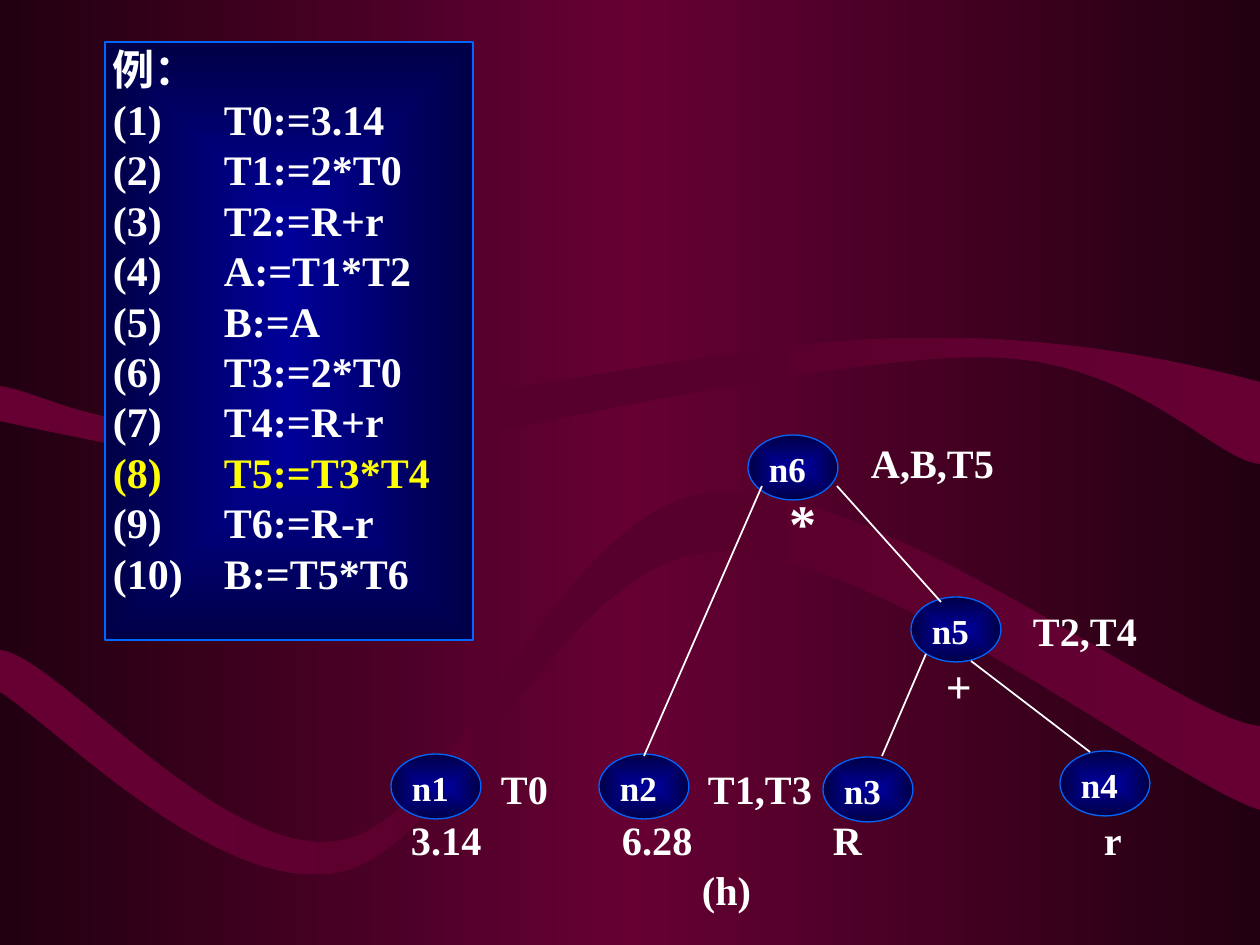
from dataclasses import dataclass

from lxml.etree import SubElement
from pptx import Presentation
from pptx.dml.color import RGBColor
from pptx.enum.shapes import MSO_CONNECTOR as Connector, MSO_SHAPE as Preset
from pptx.enum.text import MSO_ANCHOR as Anchor, PP_ALIGN as Align
from pptx.oxml.ns import qn
from pptx.util import Emu, Pt

EMU_PER_PX = 914400 / 126
FONT = "Times New Roman"
WHITE = RGBColor(0xFF, 0xFF, 0xFF)
YELLOW = RGBColor(0xFF, 0xFF, 0x00)
BORDER = RGBColor(0x00, 0x66, 0xFF)
BRIGHT_BLUE = RGBColor(0x00, 0x00, 0x99)
DARK_BLUE = RGBColor(0x00, 0x00, 0x46)
DARK_WINE = RGBColor(0x22, 0x00, 0x11)
WINE = RGBColor(0x66, 0x00, 0x33)
DIM_WINE = RGBColor(0x56, 0x00, 0x2B)

NODE_WIDTH, NODE_HEIGHT = 90, 65
ROW_LEFT = 209
CODE_TAB = 111


@dataclass
class Node:
    name: str
    left: int
    top: int


@dataclass
class Label:
    text: str
    left: int
    top: int
    width: int
    height: int = 48
    size: int = 23
    inset: int = 0
    tabs: tuple[int, ...] = ()


@dataclass
class Edge:
    start: tuple[int, int]
    end: tuple[int, int]


UPPER_WAVE = [
    [(0, 386)],
    [(0, 421)],
    [(47, 432), (220, 466), (280, 472)],
    [(339, 479), (239, 478), (355, 459)],
    [(472, 438), (832, 355), (983, 357)],
    [(1134, 357), (1213, 460), (1260, 464)],
    [(1260, 382)],
    [(1197, 365), (1053, 331), (883, 339)],
    [(713, 345), (387, 418), (239, 426)],
    [(92, 432), (50, 394), (0, 386)],
]
LOWER_WAVE = [
    [(0, 650)],
    [(0, 692)],
    [(57, 728), (219, 896), (339, 872)],
    [(457, 849), (558, 562), (712, 552)],
    [(866, 541), (1168, 781), (1260, 810)],
    [(1260, 726)],
    [(1182, 721), (871, 475), (708, 493)],
    [(556, 512), (462, 814), (344, 840)],
    [(226, 866), (57, 655), (0, 650)],
]
NODES = [
    Node("n1", 391, 754),
    Node("n2", 599, 754),
    Node("n3", 823, 757),
    Node("n4", 1060, 751),
    Node("n5", 911, 597),
    Node("n6", 748, 435),
]
LABELS = [
    Label("A,B,T5", ROW_LEFT, 438, 789, inset=662),
    Label("*", 776, 489, 40, 66, 31, inset=14),
    Label("T2,T4", ROW_LEFT, 606, 931, inset=824),
    Label("+", 934, 658, 38, 54, 26, inset=12),
    Label("T0\tT1,T3", ROW_LEFT, 764, 605, inset=292, tabs=(207,)),
    Label("3.14\t6.28\tR\tr", ROW_LEFT, 815, 914, inset=202, tabs=(211, 422, 693)),
    Label("(h)", ROW_LEFT, 865, 543, inset=493),
]
EDGES = [
    Edge((971, 661), (1090, 752)),
    Edge((837, 486), (941, 602)),
    Edge((762, 486), (644, 756)),
    Edge((926, 654), (882, 756)),
]
STATEMENTS = [
    "T0:=3.14", "T1:=2*T0", "T2:=R+r", "A:=T1*T2", "B:=A",
    "T3:=2*T0", "T4:=R+r", "T5:=T3*T4", "T6:=R-r", "B:=T5*T6",
]
HIGHLIGHTED = 8


def px(value: float) -> Emu:
    return Emu(round(value * EMU_PER_PX))


def set_gradient(properties, colors: list[RGBColor], centred: bool = False) -> None:
    solid = properties.find(qn("a:solidFill"))
    gradient = solid.makeelement(qn("a:gradFill"), {"rotWithShape": "1"})
    stops = SubElement(gradient, qn("a:gsLst"))
    for index, color in enumerate(colors):
        position = 100000 * index // (len(colors) - 1)
        stop = SubElement(stops, qn("a:gs"), pos=str(position))
        SubElement(stop, qn("a:srgbClr"), val=str(color))
    if centred:
        focus = SubElement(gradient, qn("a:path"), path="rect")
        sides = {side: "50000" for side in "ltrb"}
        SubElement(focus, qn("a:fillToRect"), sides)
    else:
        SubElement(gradient, qn("a:lin"), ang="10800000", scaled="0")
    properties.replace(solid, gradient)


def fill_shape(shape, colors: list[RGBColor], centred: bool = False) -> None:
    shape.shadow.inherit = False
    shape.fill.solid()
    set_gradient(shape._element.spPr, colors, centred)


def draw_wave(shapes, segments: list[list[tuple[int, int]]]) -> None:
    (start,), *rest = segments
    builder = shapes.build_freeform(px(start[0]), px(start[1]), scale=1.0)
    builder.add_line_segments([(px(x), px(y)) for s in rest for x, y in s], close=True)
    wave = builder.convert_to_shape()
    lines = iter(list(wave._element.iter(qn("a:lnTo"))))
    for segment in rest:
        first, *others = [next(lines) for _ in segment]
        if others:
            curve = first.makeelement(qn("a:cubicBezTo"), {})
            first.addprevious(curve)
            for line in (first, *others):
                curve.append(line[0])
                line.getparent().remove(line)
    fill_shape(wave, [WINE, DIM_WINE, WINE])
    wave.line.fill.background()


def add_tabs(paragraph, positions: tuple[int, ...]) -> None:
    tabs = SubElement(paragraph._p.get_or_add_pPr(), qn("a:tabLst"))
    for position in positions:
        SubElement(tabs, qn("a:tab"), pos=str(px(position)), algn="l")


def format_runs(paragraph, size: int, color: RGBColor = WHITE) -> None:
    paragraph.alignment = Align.LEFT
    for run in paragraph.runs:
        run.font.name = FONT
        run.font.size = Pt(size)
        run.font.bold = True
        run.font.color.rgb = color


def set_margins(text_frame, horizontal: int, vertical: int) -> None:
    text_frame.word_wrap = True
    text_frame.vertical_anchor = Anchor.TOP
    text_frame.margin_left = text_frame.margin_right = px(horizontal)
    text_frame.margin_top = text_frame.margin_bottom = px(vertical)


def draw_label(shapes, label: Label) -> None:
    area = (label.left, label.top, label.width, label.height)
    text_frame = shapes.add_textbox(*map(px, area)).text_frame
    set_margins(text_frame, 0, 0)
    text_frame.margin_left = px(label.inset)
    text_frame.text = label.text
    paragraph = text_frame.paragraphs[0]
    if label.tabs:
        add_tabs(paragraph, label.tabs)
    format_runs(paragraph, label.size)


def draw_panel(shapes, preset, left: int, top: int, width: int, height: int):
    panel = shapes.add_shape(preset, px(left), px(top), px(width), px(height))
    fill_shape(panel, [BRIGHT_BLUE, DARK_BLUE], centred=True)
    panel.line.color.rgb = BORDER
    panel.line.width = Pt(0.75)
    return panel


def draw_node(shapes, node: Node) -> None:
    draw_panel(shapes, Preset.OVAL, node.left, node.top, NODE_WIDTH, NODE_HEIGHT)
    draw_label(shapes, Label(node.name, node.left + 21, node.top + 12, 38, 42, 20))


def draw_edge(shapes, edge: Edge) -> None:
    ends = [px(value) for value in (*edge.start, *edge.end)]
    line = shapes.add_connector(Connector.STRAIGHT, *ends)
    line.line.color.rgb = WHITE
    line.line.width = Pt(1)
    SubElement(line._element.spPr, qn("a:effectLst"))


def draw_code(shapes) -> None:
    text_frame = draw_panel(shapes, Preset.RECTANGLE, 105, 42, 368, 598).text_frame
    set_margins(text_frame, 8, 1)
    numbered = [f"({n})\t{code}" for n, code in enumerate(STATEMENTS, 1)]
    text_frame.text = "\n".join(["例：", *numbered])
    for number, paragraph in enumerate(text_frame.paragraphs):
        add_tabs(paragraph, (CODE_TAB,))
        paragraph.line_spacing = Pt(28.8)
        format_runs(paragraph, 24, YELLOW if number == HIGHLIGHTED else WHITE)


def main() -> None:
    presentation = Presentation()
    presentation.slide_width, presentation.slide_height = px(1260), px(945)
    slide = presentation.slides.add_slide(presentation.slide_layouts[6])
    slide.background.fill.solid()
    background = slide._element.cSld.find(f"{qn('p:bg')}/{qn('p:bgPr')}")
    set_gradient(background, [DARK_WINE, WINE, DARK_WINE])
    for wave in (UPPER_WAVE, LOWER_WAVE):
        draw_wave(slide.shapes, wave)
    for label in LABELS:
        draw_label(slide.shapes, label)
    for node in NODES:
        draw_node(slide.shapes, node)
    for edge in EDGES:
        draw_edge(slide.shapes, edge)
    draw_code(slide.shapes)
    presentation.save("out.pptx")


if __name__ == "__main__":
    main()
